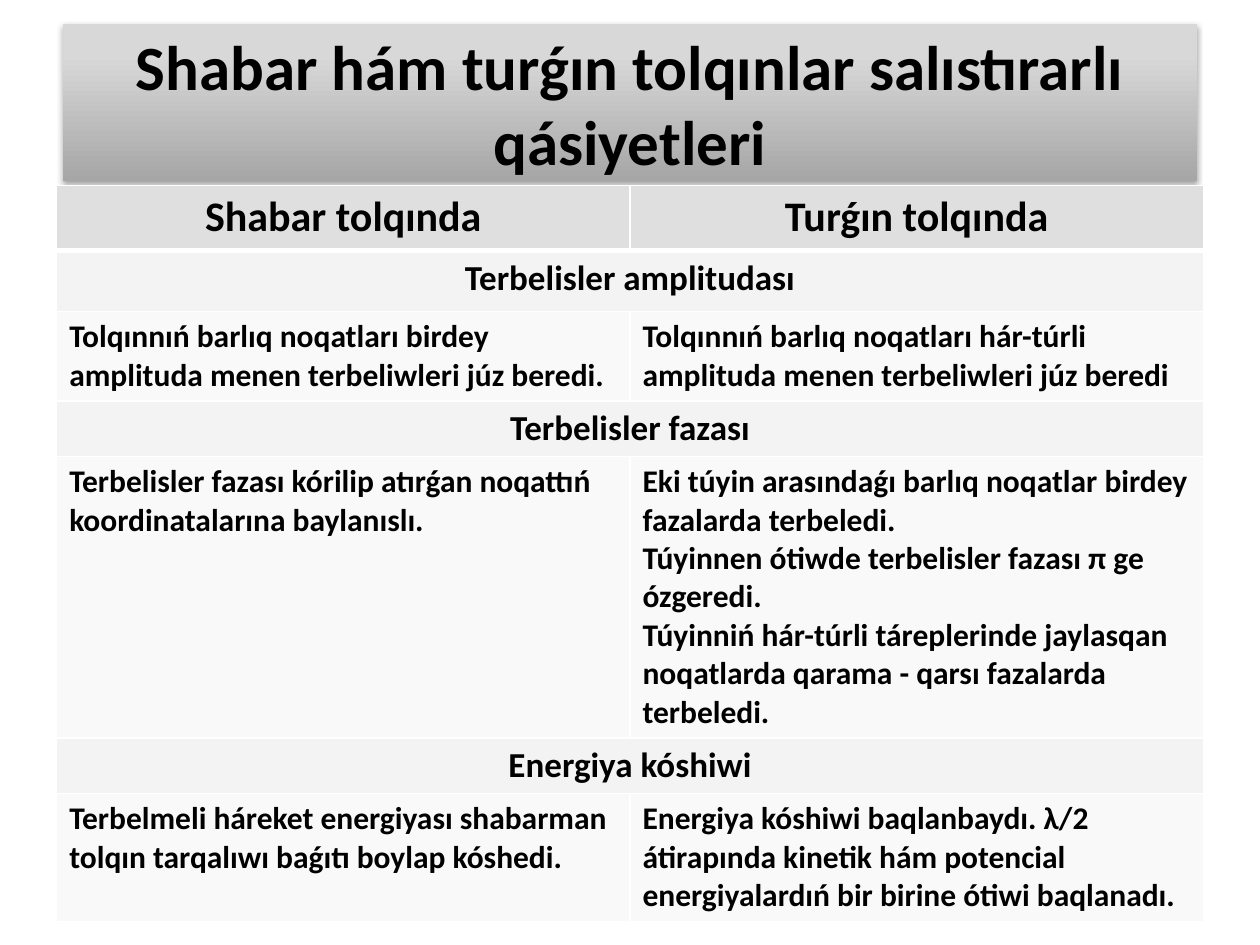
"""Build a slide with a table comparing travelling and standing waves."""
from dataclasses import dataclass

from lxml import etree
from pptx import Presentation
from pptx.dml.color import RGBColor
from pptx.enum.shapes import MSO_SHAPE
from pptx.enum.text import MSO_ANCHOR, PP_ALIGN
from pptx.oxml import parse_xml
from pptx.oxml.ns import nsdecls, qn
from pptx.util import Pt

RECT = MSO_SHAPE.RECTANGLE
MIDDLE = MSO_ANCHOR.MIDDLE
LEFT, CENTER = PP_ALIGN.LEFT, PP_ALIGN.CENTER
FONT = "Calibri"
HEX = {
    "text": "000000",
    "rule": "FFFFFF",
    "dark": "A6A6A6",
    "light": "D8D8D8",
    "head": "DFDFDF",
    "band": "F3F3F3",
    "body": "F9F9F9",
}


@dataclass(frozen=True)
class Style:
    """Look shared by all cells of a row."""
    fill: str
    size: int
    align: PP_ALIGN
    top: int = 1
    bottom: int = 1


@dataclass(frozen=True)
class Row:
    """One table row; a single cell spans the full width."""
    height: float
    style: Style
    cells: tuple[tuple[str, ...], ...]


HEAD = Style("head", 24, CENTER, bottom=3)
FIRST = Style("band", 20, CENTER, top=3)
BAND = Style("band", 20, CENTER)
BODY = Style("body", 18, LEFT)

TITLE = "Shabar hám turǵın tolqınlar salıstırarlı qásiyetleri"
ROWS = (
    Row(37.4, HEAD, (("Shabar tolqında",), ("Turǵın tolqında",))),
    Row(34.6, FIRST, (("Terbelisler amplitudası",),)),
    Row(51, BODY, (
        ("Tolqınnıń barlıq noqatları birdey amplituda menen terbeliwleri júz beredi.",),
        ("Tolqınnıń barlıq noqatları hár-túrli amplituda menen terbeliwleri júz beredi",),
    )),
    Row(31.5, BAND, (("Terbelisler fazası",),)),
    Row(161, BODY, (
        ("Terbelisler fazası kórilip atırǵan noqattıń koordinatalarına baylanıslı.",),
        (
            "Eki túyin arasındaǵı barlıq noqatlar birdey fazalarda terbeledi.",
            "Túyinnen ótiwde terbelisler fazası π ge ózgeredi.",
            "Túyinniń hár-túrli táreplerinde jaylasqan noqatlarda qarama - qarsı "
            "fazalarda terbeledi.",
        ),
    )),
    Row(31.5, BAND, (("Energiya kóshiwi",),)),
    Row(73, BODY, (
        ("Terbelmeli háreket energiyası shabarman tolqın tarqalıwı baǵıtı boylap kóshedi.",),
        ("Energiya kóshiwi baqlanbaydı. λ/2 átirapında kinetik hám potencial "
         "energiyalardıń bir birine ótiwi baqlanadı.",),
    )),
)


def color(name: str) -> RGBColor:
    """Look up a named colour."""
    return RGBColor.from_string(HEX[name])


def write(frame, lines: tuple[str, ...], size: int, align: PP_ALIGN) -> None:
    """Fill a text frame with one bold run per paragraph."""
    frame.word_wrap = True
    for index, line in enumerate(lines):
        para = frame.add_paragraph() if index else frame.paragraphs[0]
        para.alignment = align
        run = para.add_run()
        run.text = line
        run.font.name = FONT
        run.font.size = Pt(size)
        run.font.bold = True
        run.font.color.rgb = color("text")


def shade(shape) -> None:
    """Give a shape a soft shadow straight below it."""
    shape.shadow.inherit = False
    effects = shape.element.spPr.find(qn("a:effectLst"))
    effects.append(parse_xml(
        f'<a:outerShdw {nsdecls("a")} blurRad="{Pt(3.1)}" dist="{Pt(1.8)}" '
        f'dir="5400000" rotWithShape="0"><a:srgbClr val="{HEX["text"]}">'
        '<a:alpha val="35000"/></a:srgbClr></a:outerShdw>'
    ))


def add_title(slide) -> None:
    """Draw the heading on its grey gradient bar."""
    bar = slide.shapes.add_shape(RECT, Pt(36), Pt(13.7), Pt(648), Pt(90))
    bar.fill.gradient()
    bar.fill.gradient_angle = 90
    for stop, name, place in zip(bar.fill.gradient_stops, ("dark", "light"), (0, 0.8)):
        stop.color.rgb = color(name)
        stop.position = place
    bar.line.fill.background()
    shade(bar)
    bar.text_frame.vertical_anchor = MIDDLE
    write(bar.text_frame, (TITLE,), 36, CENTER)


def dress(cell, style: Style) -> None:
    """Set the borders and fill of a cell."""
    props = cell._tc.get_or_add_tcPr()
    widths = {"lnL": 1, "lnR": 1, "lnT": style.top, "lnB": style.bottom}
    for tag, width in widths.items():
        line = etree.SubElement(props, qn(f"a:{tag}"), w=str(Pt(width)))
        solid = etree.SubElement(line, qn("a:solidFill"))
        etree.SubElement(solid, qn("a:srgbClr"), val=HEX["rule"])
    cell.fill.solid()
    cell.fill.fore_color.rgb = color(style.fill)


def add_grid(slide) -> None:
    """Draw the table of wave traits."""
    height = sum(row.height for row in ROWS)
    grid = slide.shapes.add_table(
        len(ROWS), 2, Pt(32.4), Pt(105.9), Pt(655.2), Pt(height)
    ).table
    for index, row in enumerate(ROWS):
        grid.rows[index].height = Pt(row.height)
        pair = [grid.cell(index, side) for side in range(2)]
        for cell in pair:
            dress(cell, row.style)
        if len(row.cells) == 1:
            pair[0].merge(pair[1])
        for cell, lines in zip(pair, row.cells):
            write(cell.text_frame, lines, row.style.size, row.style.align)


def main() -> None:
    """Build and save the slide."""
    deck = Presentation()
    deck.slide_width, deck.slide_height = Pt(720), Pt(540)
    slide = deck.slides.add_slide(deck.slide_layouts[6])
    add_title(slide)
    add_grid(slide)
    deck.save("out.pptx")


if __name__ == "__main__":
    main()
